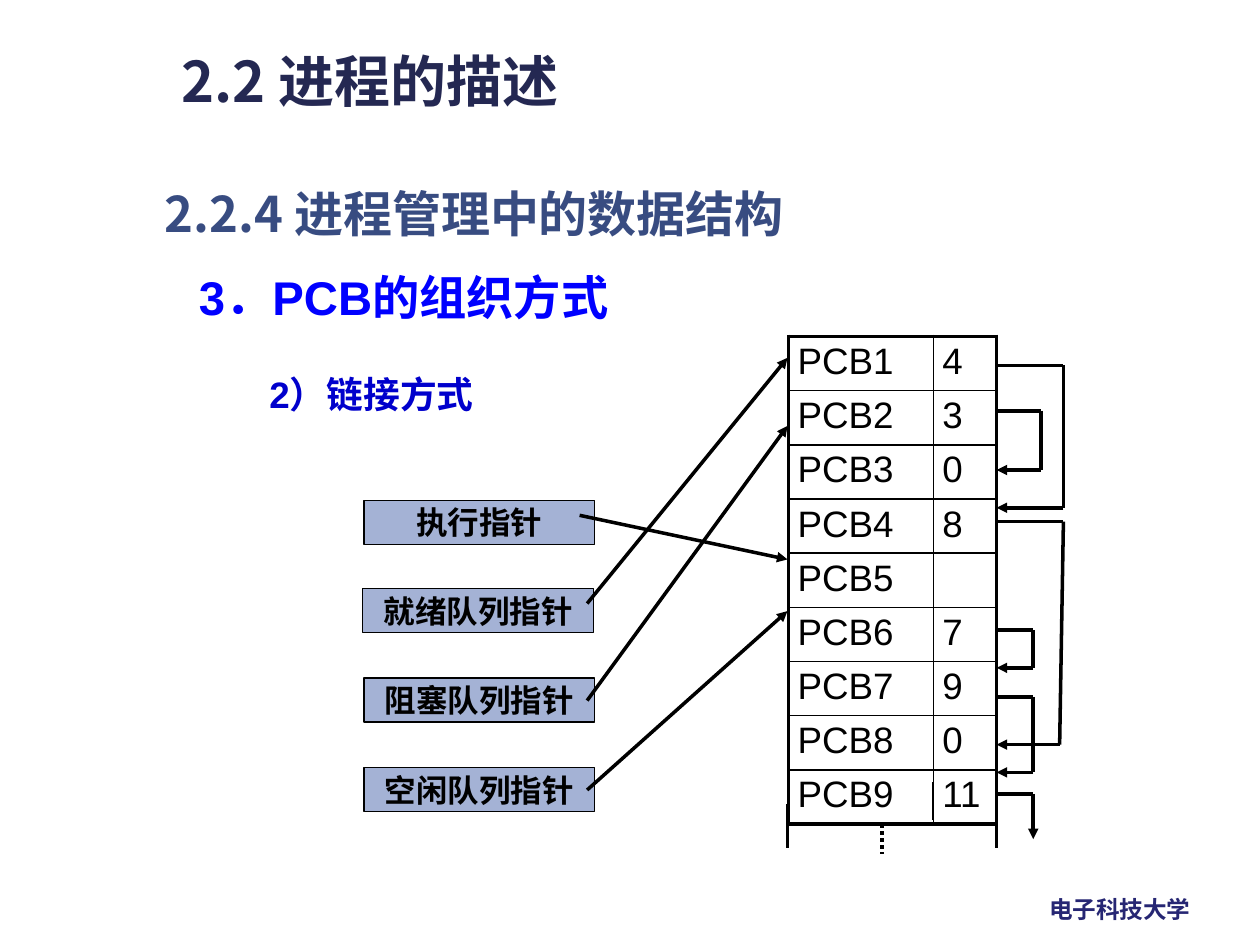
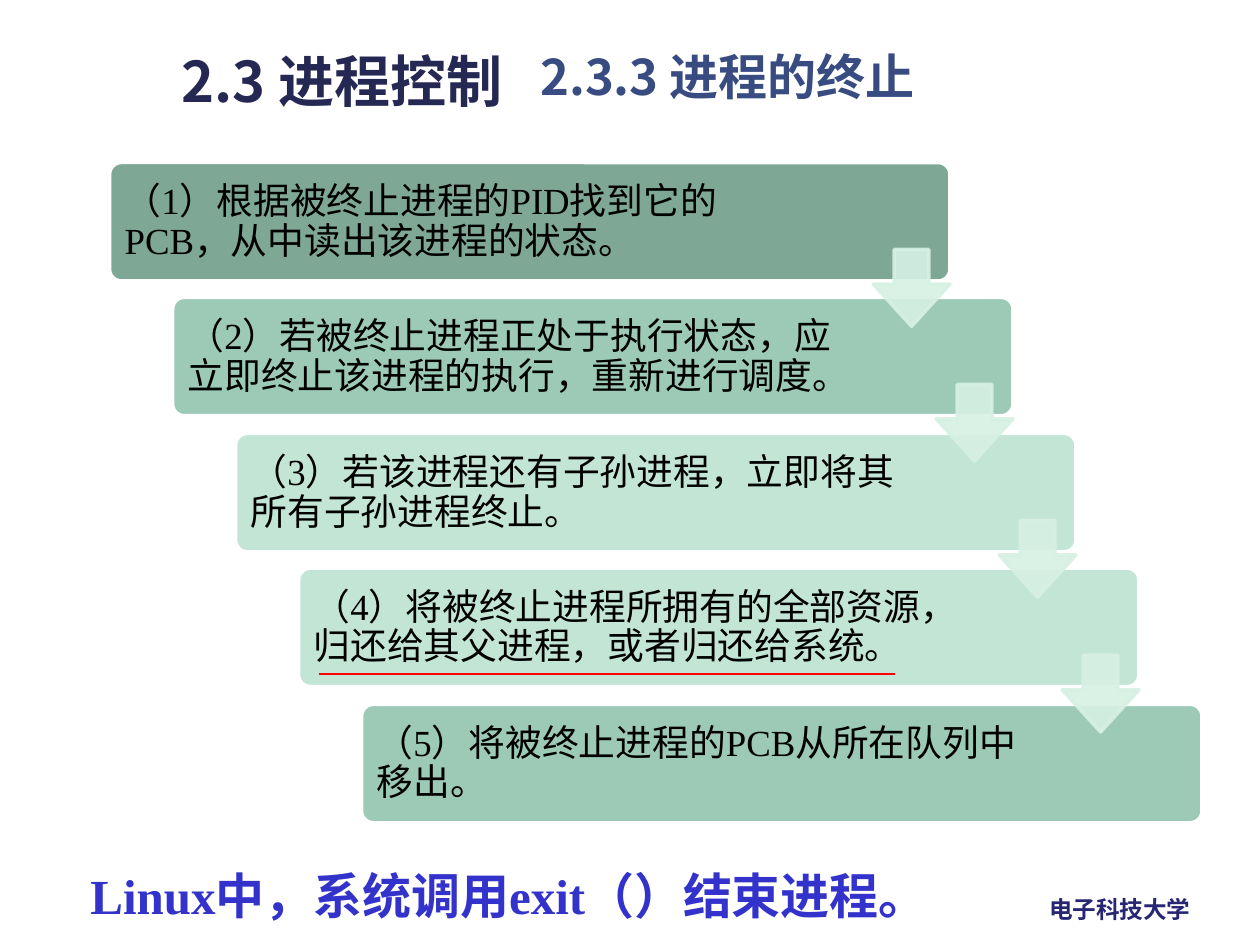
from dataclasses import dataclass
from typing import Optional

from lxml import etree
from pptx import Presentation
from pptx.dml.color import RGBColor
from pptx.enum.dml import MSO_LINE
from pptx.enum.shapes import MSO_CONNECTOR, MSO_SHAPE
from pptx.enum.text import MSO_ANCHOR, PP_ALIGN
from pptx.oxml.ns import qn
from pptx.util import Pt

PX = 9144  # 100 px to the inch

RECTANGLE = MSO_SHAPE.RECTANGLE
ROUNDED = MSO_SHAPE.ROUNDED_RECTANGLE
DOWN_ARROW = MSO_SHAPE.DOWN_ARROW
STRAIGHT = MSO_CONNECTOR.STRAIGHT
DOTTED = MSO_LINE.ROUND_DOT
TOP, MIDDLE = MSO_ANCHOR.TOP, MSO_ANCHOR.MIDDLE
LEFT, CENTER = PP_ALIGN.LEFT, PP_ALIGN.CENTER

COLORS = {
    "black": "000000", "white": "FFFFFF", "red": "FF0000",
    "title": "242852", "subtitle": "384C81", "footer": "262673",
    "heading": "0000FF", "subheading": "0000CC", "note": "3333CC",
    "pointer": "4A66AC", "arrow": "D6F0E4",
    "dark green": "7EA795", "green": "9DCAB6", "pale green": "C3E5D6",
}
CJK = "Noto Sans CJK SC"


@dataclass(frozen=True)
class Box:
    left: int
    top: int
    width: int
    height: int

    def emu(self) -> tuple[int, ...]:
        return tuple(n * PX for n in (self.left, self.top, self.width, self.height))


@dataclass(frozen=True)
class TextStyle:
    size: float
    color: str
    font: str = CJK
    bold: bool = True
    align: PP_ALIGN = LEFT
    anchor: MSO_ANCHOR = TOP
    spacing: float = 1.0
    wrap: bool = True
    inset: Optional[int] = None


@dataclass(frozen=True)
class ShapeStyle:
    fill: str
    line: str
    line_width: float
    fill_opacity: int = 100
    line_opacity: int = 100


@dataclass(frozen=True)
class Route:
    """A line through several points, with an optional head at the last one."""
    points: tuple[tuple[int, int], ...]
    width: float = 2
    color: str = "black"
    arrow: bool = False
    dotted: bool = False


@dataclass(frozen=True)
class Pointer:
    name: str
    left: int
    top: int
    start: tuple[int, int]
    end_top: int


@dataclass(frozen=True)
class Step:
    text: str
    fill: str


TITLE = TextStyle(32, "title")
SUBTITLE = TextStyle(28, "subtitle")
FOOTER = TextStyle(13.5, "footer", wrap=False)
HEADING = TextStyle(27, "heading", "Arial", anchor=MIDDLE)
SUBHEADING = TextStyle(21, "subheading", "Arial", spacing=1.2)
POINTER_TEXT = TextStyle(18, "black", "Roboto", align=CENTER, anchor=MIDDLE, wrap=False)
CELL_TEXT = TextStyle(21, "black", "Arial", bold=False)
STEP_TEXT = TextStyle(21, "black", "Times New Roman", bold=False,
                      anchor=MIDDLE, spacing=0.9, inset=9)
NOTE = TextStyle(28, "note", "Times New Roman", spacing=0.9)

POINTER_SHAPE = ShapeStyle("pointer", "black", 0.75, fill_opacity=50)
ARROW_SHAPE = ShapeStyle("arrow", "arrow", 2, 90, 90)

TABLE = Box(626, 267, 165, 383)
NAME_WIDTH = 115
TABLE_LEFT, TABLE_RIGHT = 625, 791
NEXT_PCB = ["4", "3", "0", "8", "", "7", "9", "0", "11"]

POINTERS = [
    Pointer("执行指针", 289, 397, (460, 409), 444),
    Pointer("就绪队列指针", 288, 467, (466, 479), 284),
    Pointer("阻塞队列指针", 289, 538, (466, 556), 338),
    Pointer("空闲队列指针", 289, 609, (466, 627), 485),
]

# start height, upper bend, lower bend, end height
LINKS = [(290, 844, 844, 403), (326, 826, 826, 373), (414, 844, 841, 591),
         (500, 820, 820, 530), (553, 820, 820, 613)]

TABLE_LINES = [
    Route(((TABLE_RIGHT, 630), (820, 630), (820, 666)), arrow=True),
    Route(((TABLE_LEFT, 638), (TABLE_LEFT, 673))),
    Route(((740, 621), (740, 651)), width=0.75),
    Route(((TABLE_RIGHT, 632), (TABLE_RIGHT, 673))),
    Route(((700, 654), (700, 678)), dotted=True),
]

STEPS = [
    Step("（1）根据被终止进程的PID找到它的PCB，从中读出该进程的状态。", "dark green"),
    Step("（2）若被终止进程正处于执行状态，应立即终止该进程的执行，重新进行调度。", "green"),
    Step("（3）若该进程还有子孙进程，立即将其所有子孙进程终止。", "pale green"),
    Step("（4）将被终止进程所拥有的全部资源，归还给其父进程，或者归还给系统。", "pale green"),
    Step("（5）将被终止进程的PCB从所在队列中移出。", "green"),
]
FIRST_STEP = Box(87, 129, 667, 94)
LAST_STEP_TOP = 559
STEP_SHIFT = 50


def rgb(color: str) -> RGBColor:
    return RGBColor.from_string(COLORS[color])


def write_text(text_frame, text: str, style: TextStyle) -> None:
    paragraph = text_frame.paragraphs[0]
    paragraph.alignment = style.align
    paragraph.line_spacing = style.spacing
    run = paragraph.add_run()
    run.text = text
    run.font.size = Pt(style.size)
    run.font.bold = style.bold
    run.font.color.rgb = rgb(style.color)
    run.font.name = style.font
    etree.SubElement(run.font._element, qn("a:ea"), typeface=CJK)


def fill_frame(shape, text: str, style: TextStyle) -> None:
    frame = shape.text_frame
    frame.word_wrap = style.wrap
    frame.vertical_anchor = style.anchor
    if style.inset is not None:
        frame.margin_left = frame.margin_right = style.inset * PX
        frame.margin_top = frame.margin_bottom = style.inset * PX
    write_text(frame, text, style)


def add_text(slide, box: Box, text: str, style: TextStyle) -> None:
    fill_frame(slide.shapes.add_textbox(*box.emu()), text, style)


def set_opacity(parent, percent: int) -> None:
    if percent < 100:
        color = parent.find(qn("a:solidFill")).find(qn("a:srgbClr"))
        etree.SubElement(color, qn("a:alpha"), val=str(percent * 1000))


def add_preset(slide, kind: MSO_SHAPE, box: Box, style: ShapeStyle,
               adjustments: tuple[float, ...] = ()):
    shape = slide.shapes.add_shape(kind, *box.emu())
    shape.shadow.inherit = False
    for index, value in enumerate(adjustments):
        shape.adjustments[index] = value
    shape.fill.solid()
    shape.fill.fore_color.rgb = rgb(style.fill)
    shape.line.color.rgb = rgb(style.line)
    shape.line.width = Pt(style.line_width)
    properties = shape.element.spPr
    set_opacity(properties, style.fill_opacity)
    set_opacity(properties.find(qn("a:ln")), style.line_opacity)
    return shape


def add_route(slide, route: Route) -> None:
    for start, end in zip(route.points, route.points[1:]):
        connector = slide.shapes.add_connector(
            STRAIGHT, *(n * PX for n in start + end))
        connector.line.color.rgb = rgb(route.color)
        connector.line.width = Pt(route.width)
        if route.dotted:
            connector.line.dash_style = DOTTED
        properties = connector.element.spPr
        etree.SubElement(properties, qn("a:effectLst"))
        if route.arrow and end == route.points[-1]:
            etree.SubElement(properties.find(qn("a:ln")), qn("a:tailEnd"), type="triangle")


def set_borders(cell, outer_sides: dict[str, bool]) -> None:
    """Draw thick borders on the outer sides and thin ones elsewhere."""
    properties = cell._tc.get_or_add_tcPr()
    for side, outer in outer_sides.items():
        line = etree.SubElement(properties, qn(f"a:ln{side}"),
                                w=str(Pt(2.25 if outer else 1)))
        fill = etree.SubElement(line, qn("a:solidFill"))
        etree.SubElement(fill, qn("a:srgbClr"), val=COLORS["black"])


def add_pcb_table(slide) -> None:
    row_count = len(NEXT_PCB)
    table = slide.shapes.add_table(row_count, 2, *TABLE.emu()).table
    table.first_row = table.horz_banding = False
    table.columns[0].width = NAME_WIDTH * PX
    table.columns[1].width = (TABLE.width - NAME_WIDTH) * PX
    for row, next_pcb in enumerate(NEXT_PCB):
        table.rows[row].height = TABLE.height * PX // row_count
        for column, text in enumerate((f"PCB{row + 1}", next_pcb)):
            cell = table.cell(row, column)
            cell.margin_left = cell.margin_right = 7 * PX
            cell.margin_top = cell.margin_bottom = 4 * PX
            set_borders(cell, {"L": column == 0, "R": column == 1,
                               "T": row == 0, "B": row == row_count - 1})
            cell.fill.background()
            if text:
                write_text(cell.text_frame, text, CELL_TEXT)


def add_base_slide(presentation, title: str, subtitle: str, subtitle_box: Box):
    slide = presentation.slides.add_slide(presentation.slide_layouts[6])
    add_text(slide, Box(823, 705, 134, 33), "电子科技大学", FOOTER)
    add_text(slide, subtitle_box, subtitle, SUBTITLE)
    add_text(slide, Box(134, 32, 502, 66), title, TITLE)
    return slide


def build_pcb_slide(presentation) -> None:
    slide = add_base_slide(presentation, "2.2 进程的描述",
                           "2.2.4 进程管理中的数据结构", Box(121, 141, 672, 72))
    add_text(slide, Box(148, 203, 671, 65), "3．PCB的组织方式", HEADING)
    add_text(slide, Box(204, 283, 720, 49), "2）链接方式", SUBHEADING)
    for pointer in POINTERS:
        box = Box(pointer.left, pointer.top, 183, 35)
        shape = add_preset(slide, RECTANGLE, box, POINTER_SHAPE)
        fill_frame(shape, pointer.name, POINTER_TEXT)
    add_pcb_table(slide)
    for start, upper_bend, lower_bend, end in LINKS:
        add_route(slide, Route(((TABLE_RIGHT, start), (upper_bend, start),
                                (lower_bend, end), (TABLE_RIGHT, end)), arrow=True))
    for route in TABLE_LINES:
        add_route(slide, route)
    for pointer in POINTERS:
        add_route(slide, Route((pointer.start, (TABLE_LEFT, pointer.end_top)), arrow=True))


def build_termination_slide(presentation) -> None:
    slide = add_base_slide(presentation, "2.3 进程控制",
                           "2.3.3 进程的终止", Box(419, 32, 446, 72))
    last = len(STEPS) - 1
    corners = [(FIRST_STEP.left + STEP_SHIFT * index,
                FIRST_STEP.top + (LAST_STEP_TOP - FIRST_STEP.top) * index // last)
               for index in range(len(STEPS))]
    for step, (left, top) in zip(STEPS, corners):
        card = Box(left, top, FIRST_STEP.width, FIRST_STEP.height)
        add_preset(slide, ROUNDED, card, ShapeStyle(step.fill, "white", 2), (0.1,))
        add_text(slide, Box(left + 3, top + 3, 550, 89), step.text, STEP_TEXT)
    for left, top in corners[:-1]:
        add_preset(slide, DOWN_ARROW, Box(left + 606, top + 69, 61, 61),
                   ARROW_SHAPE, (0.45, 0.55))
    add_text(slide, Box(62, 687, 760, 60), "Linux中，系统调用exit（）结束进程。", NOTE)
    add_route(slide, Route(((253, 535), (710, 535)), width=0.75, color="red"))


def main() -> None:
    presentation = Presentation()
    presentation.slide_width = 1000 * PX
    presentation.slide_height = 750 * PX
    build_pcb_slide(presentation)
    build_termination_slide(presentation)
    presentation.save("out.pptx")


if __name__ == "__main__":
    main()
